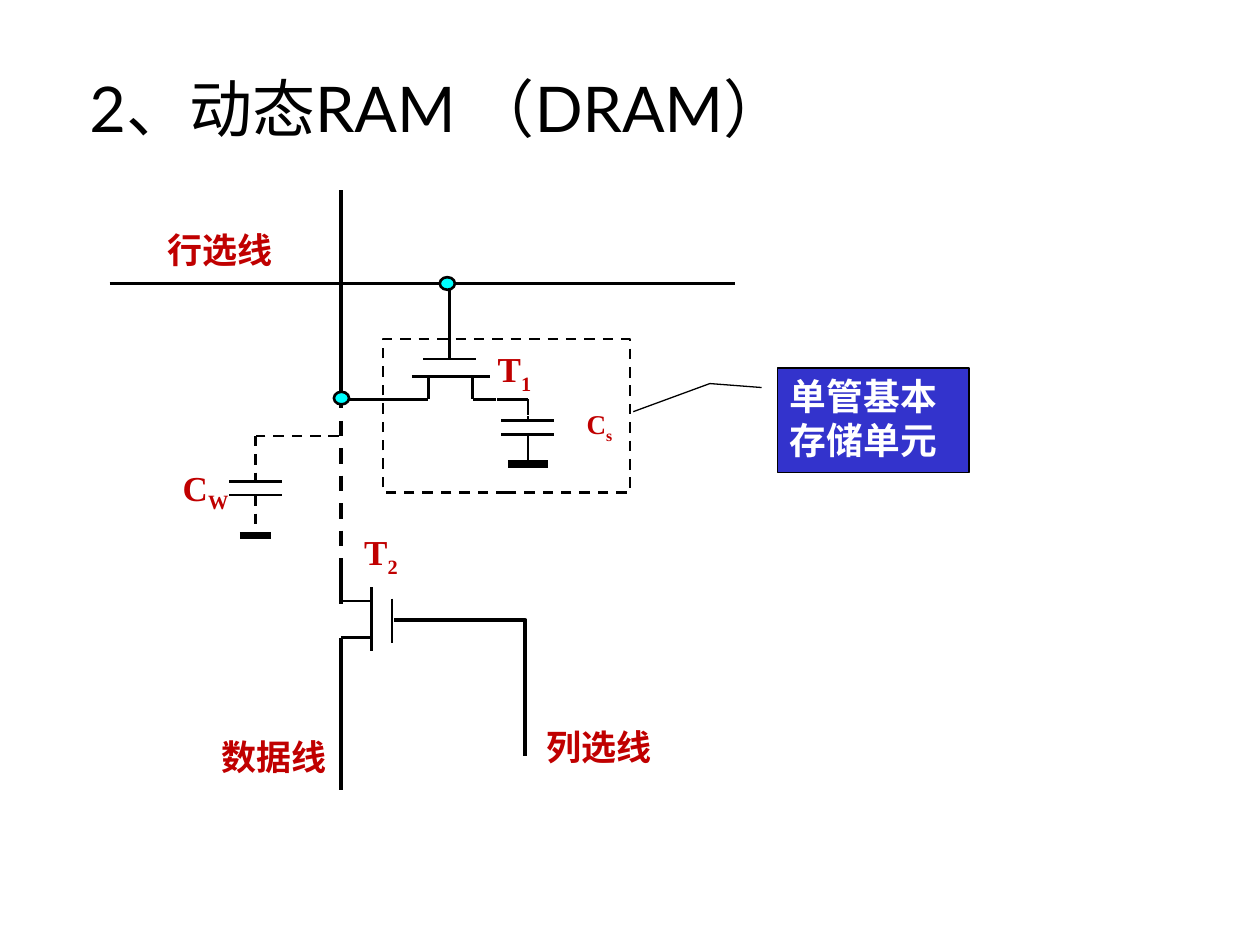
from dataclasses import dataclass

from lxml.etree import SubElement
from pptx import Presentation
from pptx.dml.color import RGBColor
from pptx.enum.dml import MSO_LINE_DASH_STYLE as Dash
from pptx.enum.shapes import MSO_CONNECTOR, MSO_SHAPE
from pptx.enum.text import MSO_ANCHOR, PP_ALIGN
from pptx.oxml.ns import qn
from pptx.util import Inches, Pt


@dataclass(frozen=True)
class Theme:
    ink: str = "000000"
    paper: str = "FFFFFF"
    label: str = "C00000"
    node: str = "00FFFF"
    callout: str = "3333CC"
    title_font: str = "Lato"
    label_font: str = "Times New Roman"
    callout_font: str = "Arial Narrow"
    title_size: float = 36
    label_size: float = 20
    small_size: float = 15.5
    callout_size: float = 21
    hairline: float = 0.75
    thin: float = 1.5
    thick: float = 2.25
    ground: float = 4.5


THEME = Theme()
TITLE = "2、动态RAM （DRAM）"
CALLOUT = "单管基本存储单元"

# Rails of the circuit, in inches
BIT_X, WORD_Y, CELL_Y = 2.71, 2.25, 3.17
GATE_X, CS_X, CW_X, COLUMN_X = 3.57, 4.19, 2.03, 4.17
T1_SOURCE_X, T1_DRAIN_X, T1_CHANNEL_Y, T1_GATE_Y = 3.4, 3.75, 2.99, 2.85
T2_CHANNEL_X, T2_GATE_X, T2_TOP_Y, T2_BOTTOM_Y = 2.95, 3.11, 4.77, 5.06
T2_GATE_Y, CW_TAP_Y = 4.92, 3.46

CELL_BOX = (3.04, 2.69, 1.96, 1.22)
CALLOUT_BOX = (6.17, 2.92, 1.52, 0.83)
CALLOUT_LEADER = (0.188, -0.083, 0.15, -0.353, 0.419, -0.753)
NODES = [(BIT_X, 3.16), (GATE_X - 0.02, WORD_Y)]

# Text, subscript, box
LABELS = [
    ("行选线", "", (1.32, 1.8, 1.27, 0.45)),
    ("列选线", "", (4.33, 5.75, 1.17, 0.45)),
    ("数据线", "", (1.75, 5.83, 1.47, 0.5)),
    ("C", "W", (1.44, 3.69, 0.62, 0.54)),
    ("T", "2", (2.88, 4.2, 0.51, 0.58)),
]
CS_LABEL = ("C", "s", (4.25, 3.25, 0.62, 0.35))
T1_LABEL = ("T", "1", (3.94, 2.75, 0.51, 0.55))

# x1, y1, x2, y2
THICK_WIRES = [
    (BIT_X, 1.51, BIT_X, 3.24),
    (0.87, WORD_Y, 5.83, WORD_Y),
    (BIT_X, 4.43, BIT_X, T2_TOP_Y + 0.02),
    (BIT_X, T2_BOTTOM_Y, BIT_X, 6.27),
]
THIN_WIRES = [
    (GATE_X, WORD_Y, GATE_X, T1_GATE_Y),
    (3.36, T1_GATE_Y, 3.78, T1_GATE_Y),
    (3.27, T1_CHANNEL_Y, 3.89, T1_CHANNEL_Y),
    (T1_SOURCE_X, T1_CHANNEL_Y, T1_SOURCE_X, CELL_Y),
    (T1_DRAIN_X, T1_CHANNEL_Y, T1_DRAIN_X, CELL_Y),
    (BIT_X, CELL_Y, T1_SOURCE_X, CELL_Y),
    (T1_DRAIN_X, CELL_Y, CS_X, CELL_Y),
    (T2_CHANNEL_X, 4.66, T2_CHANNEL_X, 5.17),
    (T2_GATE_X, 4.75, T2_GATE_X, 5.1),
    (BIT_X, T2_TOP_Y, T2_CHANNEL_X, T2_TOP_Y),
    (BIT_X, T2_BOTTOM_Y, T2_CHANNEL_X, T2_BOTTOM_Y),
]
COLUMN_WIRE = [(T2_GATE_X + 0.02, T2_GATE_Y), (COLUMN_X, T2_GATE_Y), (COLUMN_X, 6)]
PLATE_WIDTH, PLATE_GAP = 0.42, 0.11
# x, top of lead, upper plate, ground, ground width, lead dash
CAPACITORS = [
    (CS_X, CELL_Y, 3.34, 3.68, 0.32, None),
    (CW_X, CW_TAP_Y, 3.82, 4.25, 0.25, Dash.DASH),
]


def style_line(line, color, width, dash=None):
    line.color.rgb = RGBColor.from_string(color)
    line.width = Pt(width)
    if dash:
        line.dash_style = dash


def style_font(font, name, size, color, bold):
    font.name, font.size, font.bold = name, Pt(size), bold
    font.color.rgb = RGBColor.from_string(color)


def add_wire(slide, ends, width, dash=None):
    wire = slide.shapes.add_connector(MSO_CONNECTOR.STRAIGHT, *map(Inches, ends))
    style_line(wire.line, THEME.ink, width, dash)
    SubElement(wire.element.spPr, qn("a:effectLst"))


def add_box(slide, kind, box, fill, line, width, dash=None):
    shape = slide.shapes.add_shape(kind, *map(Inches, box))
    shape.shadow.inherit = False
    if fill:
        shape.fill.solid()
        shape.fill.fore_color.rgb = RGBColor.from_string(fill)
    else:
        shape.fill.background()
    style_line(shape.line, line, width, dash)
    return shape


def add_label(slide, text, subscript, box, size=THEME.label_size, framed=False):
    """Add a red label; a framed one has a paper-coloured outline that breaks the wires below."""
    if framed:
        shape = add_box(slide, MSO_SHAPE.RECTANGLE, box, None, THEME.paper, THEME.hairline)
    else:
        shape = slide.shapes.add_textbox(*map(Inches, box))
    frame = shape.text_frame
    frame.word_wrap, frame.vertical_anchor = True, MSO_ANCHOR.TOP
    frame.margin_left = frame.margin_right = Inches(0.01)
    frame.margin_top = frame.margin_bottom = Inches(0.01)
    paragraph = frame.paragraphs[0]
    paragraph.alignment = PP_ALIGN.LEFT
    for part in filter(None, (text, subscript)):
        run = paragraph.add_run()
        run.text = part
        style_font(run.font, THEME.label_font, size, THEME.label, True)
        if part == subscript:
            run.font._element.set("baseline", "-25000")
    return paragraph


def add_capacitor(slide, x, top, plate, ground, ground_width, dash):
    lower = plate + PLATE_GAP
    for y in (plate, lower):
        add_wire(slide, (x - PLATE_WIDTH / 2, y, x + PLATE_WIDTH / 2, y), THEME.thin)
    add_wire(slide, (x, top, x, plate), THEME.thin, dash)
    add_wire(slide, (x, lower, x, ground), THEME.thin, dash)
    half = ground_width / 2
    add_wire(slide, (x - half, ground, x + half, ground), THEME.ground)


def add_title(slide):
    title = slide.shapes.title
    title.left, title.top, title.width, title.height = map(Inches, (0.61, -0.05, 8.52, 1.25))
    frame = title.text_frame
    frame.text = TITLE
    frame.vertical_anchor = MSO_ANCHOR.BOTTOM
    paragraph = frame.paragraphs[0]
    paragraph.alignment = PP_ALIGN.LEFT
    style_font(paragraph.runs[0].font, THEME.title_font, THEME.title_size, THEME.ink, False)


def add_circuit(slide):
    add_box(slide, MSO_SHAPE.RECTANGLE, CELL_BOX, THEME.paper, THEME.ink, THEME.thin, Dash.DASH)
    cs_paragraph = add_label(slide, *CS_LABEL, size=THEME.small_size, framed=True)
    cs_paragraph.alignment, cs_paragraph.line_spacing = PP_ALIGN.RIGHT, 0.8
    for label in LABELS:
        add_label(slide, *label)

    for wires, width in ((THICK_WIRES, THEME.thick), (THIN_WIRES, THEME.thin)):
        for ends in wires:
            add_wire(slide, ends, width)
    add_wire(slide, (BIT_X, 3.34, BIT_X, 4.42), THEME.thick, Dash.DASH)
    add_wire(slide, (BIT_X - 0.02, CW_TAP_Y, CW_X, CW_TAP_Y), THEME.thin, Dash.DASH)
    start, *corners = [tuple(map(Inches, point)) for point in COLUMN_WIRE]
    builder = slide.shapes.build_freeform(*start)
    builder.add_line_segments(corners, close=False)
    column = builder.convert_to_shape()
    column.shadow.inherit = False
    column.fill.background()
    style_line(column.line, THEME.ink, THEME.thick)
    for capacitor in CAPACITORS:
        add_capacitor(slide, *capacitor)

    add_label(slide, *T1_LABEL, framed=True)
    for x, y in NODES:
        add_box(slide, MSO_SHAPE.OVAL, (x - 0.06, y - 0.05, 0.12, 0.1),
                THEME.node, THEME.ink, THEME.thin)


def add_callout(slide):
    callout = add_box(slide, MSO_SHAPE.LINE_CALLOUT_2, CALLOUT_BOX,
                      THEME.callout, THEME.ink, THEME.hairline)
    for index, value in enumerate(CALLOUT_LEADER):
        callout.adjustments[index] = value
    frame = callout.text_frame
    frame.text = CALLOUT
    frame.word_wrap, frame.vertical_anchor = True, MSO_ANCHOR.TOP
    paragraph = frame.paragraphs[0]
    paragraph.alignment = PP_ALIGN.LEFT
    style_font(paragraph.runs[0].font, THEME.callout_font, THEME.callout_size, THEME.paper, True)


def main():
    presentation = Presentation()
    presentation.slide_width, presentation.slide_height = Inches(10), Inches(7.5)
    slide = presentation.slides.add_slide(presentation.slide_layouts.get_by_name("Title Only"))
    add_title(slide)
    add_circuit(slide)
    add_callout(slide)
    presentation.save("out.pptx")


if __name__ == "__main__":
    main()
